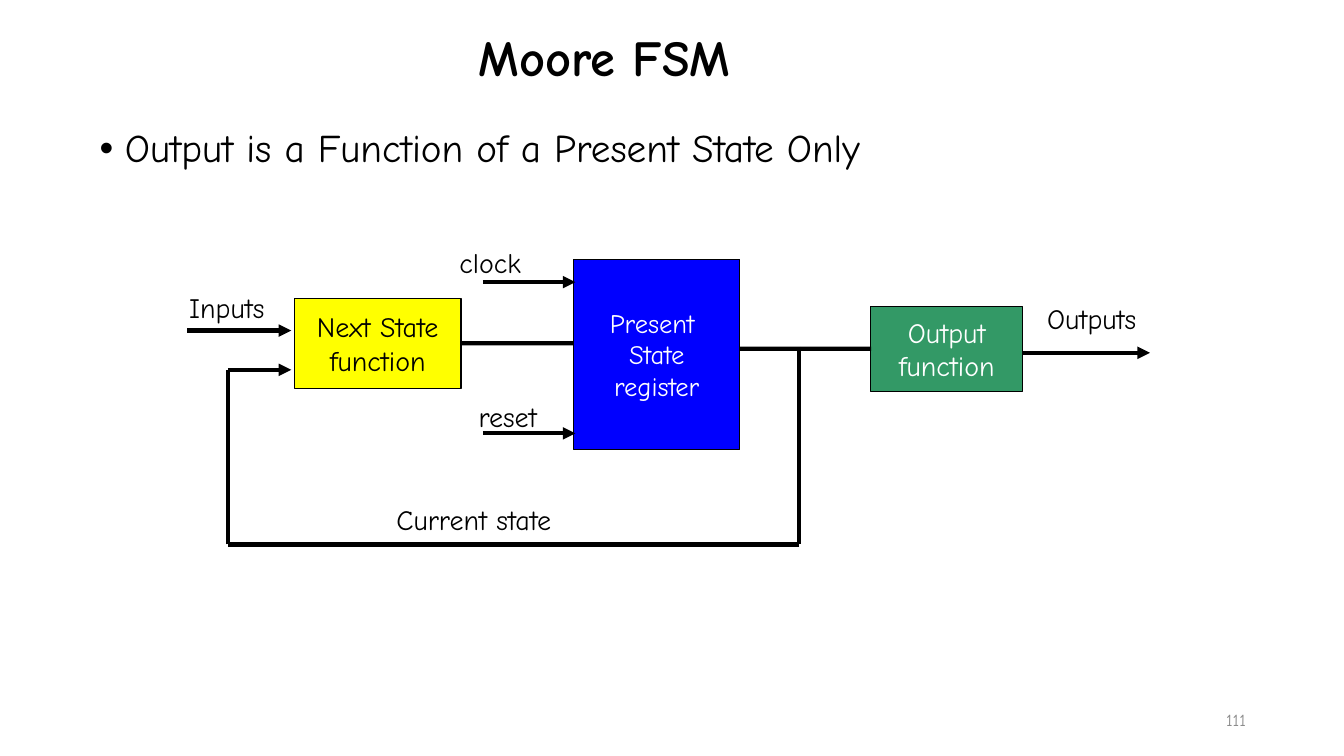
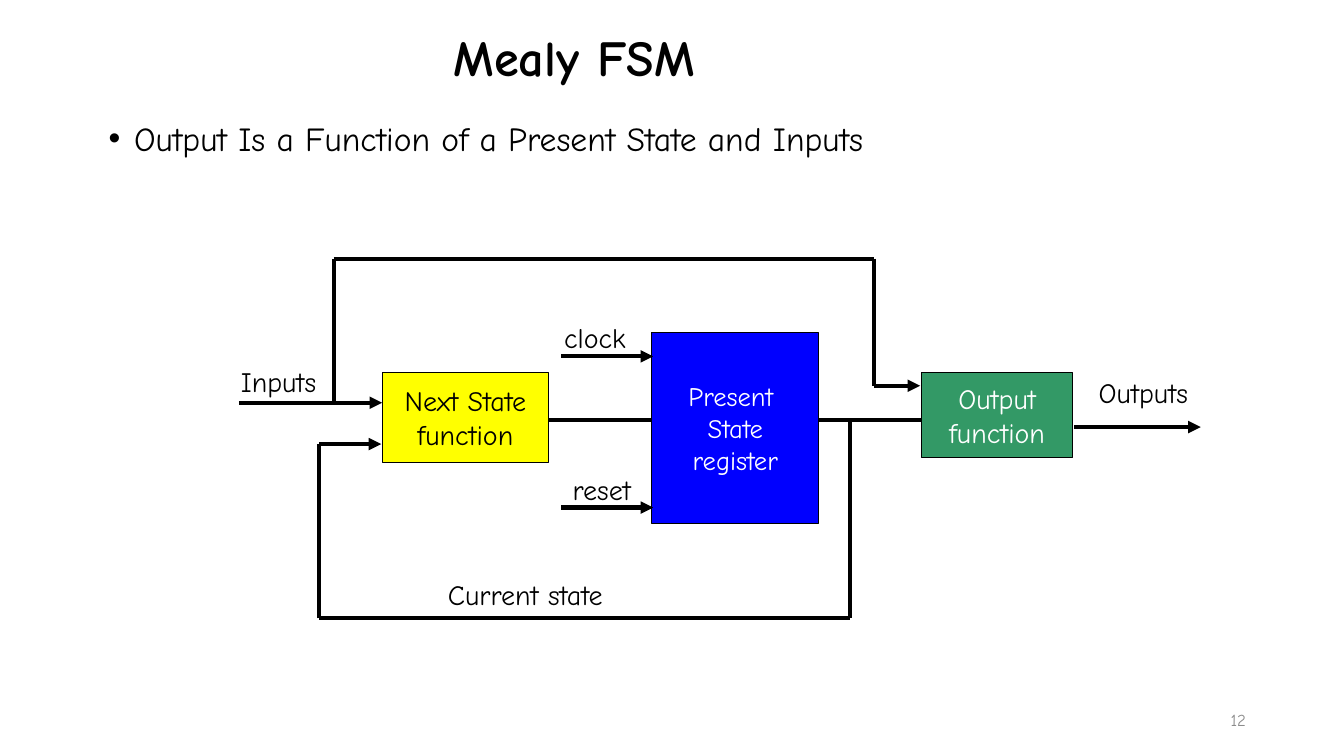
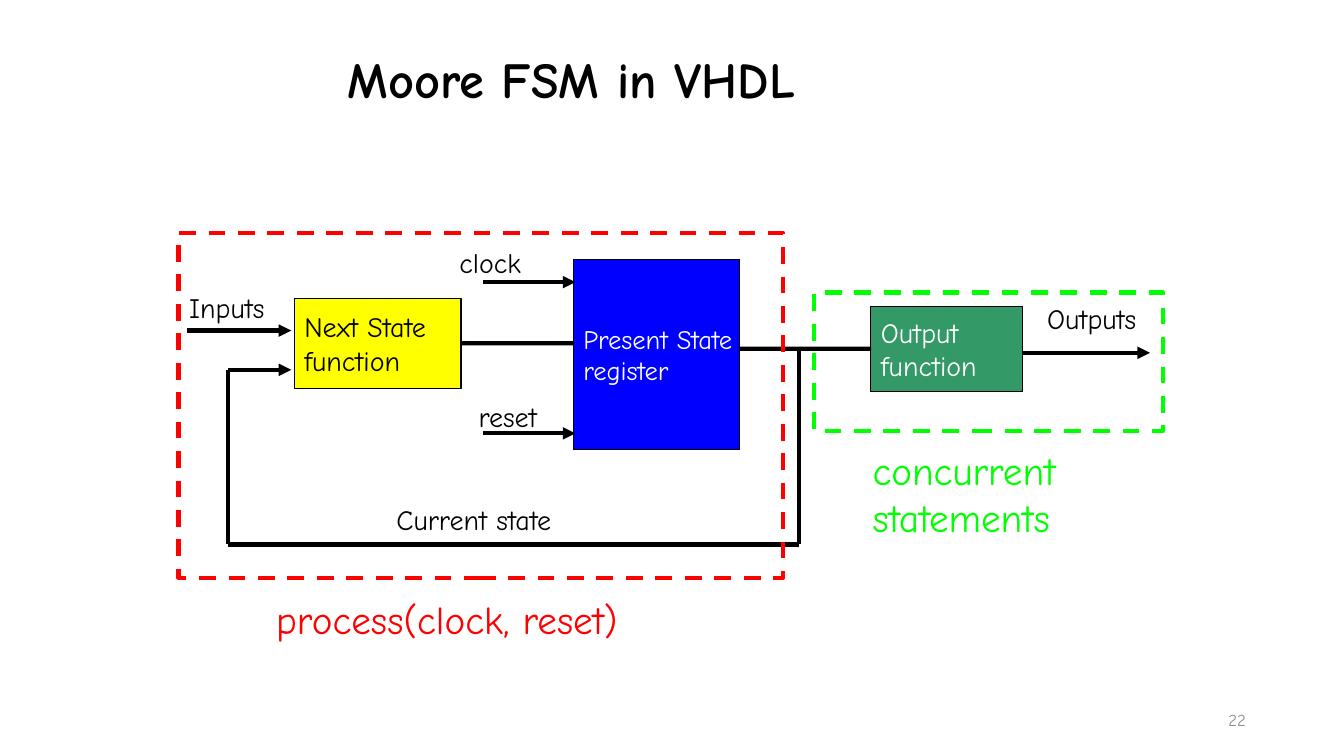
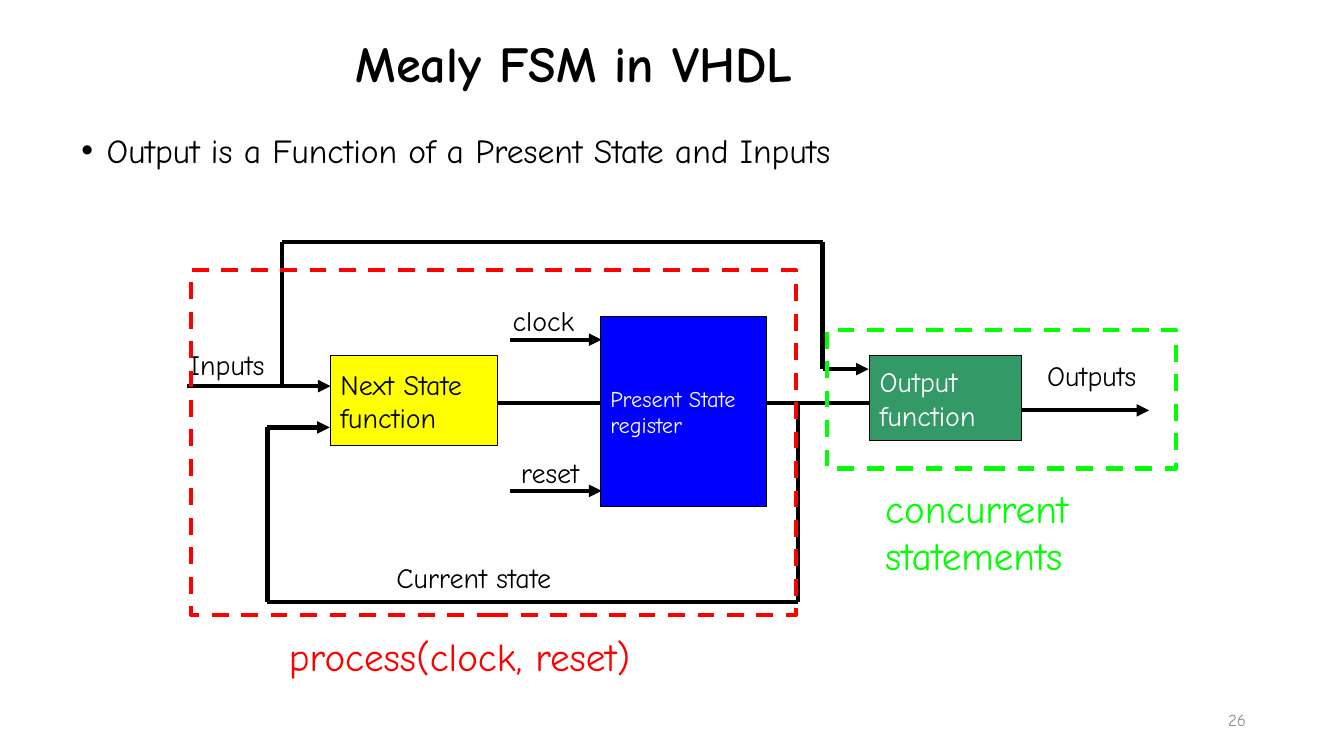
from itertools import pairwise

from lxml import etree
from pptx import Presentation
from pptx import util as u
from pptx.dml.color import RGBColor
from pptx.enum import dml, shapes, text
from pptx.oxml.ns import qn

BLACK = RGBColor(0x00, 0x00, 0x00)
WHITE = RGBColor(0xFF, 0xFF, 0xFF)
GRAY = RGBColor(0x8C, 0x8C, 0x8C)
YELLOW = RGBColor(0xFF, 0xFF, 0x00)
BLUE = RGBColor(0x00, 0x00, 0xFF)
TEAL = RGBColor(0x33, 0x99, 0x66)
RED = RGBColor(0xFF, 0x00, 0x00)
GREEN = RGBColor(0x00, 0xFF, 0x00)

FONT = "Comic Neue"
LEFT, CENTER, RIGHT = text.PP_ALIGN.LEFT, text.PP_ALIGN.CENTER, text.PP_ALIGN.RIGHT
MIDDLE = text.MSO_ANCHOR.MIDDLE

# All positions and sizes are in centimetres.
BLOCKS = {  # size, fill, text colour
    "next": ((4.2, 2.26), YELLOW, BLACK),
    "present": ((4.2, 4.8), BLUE, WHITE),
    "output": ((3.82, 2.14), TEAL, WHITE),
}
LABEL_WIDTHS = {"Inputs": 2.72, "Outputs": 3.23, "clock": 2.18, "reset": 2.31,
                "Current state": 5.08}
LABEL_HEIGHT = 1.12

MOORE = {
    "blocks": {"next": (7.42, 7.52), "present": (14.45, 6.53), "output": (21.95, 7.72)},
    "labels": {"Inputs": (4.52, 7.19), "Outputs": (26.14, 7.47), "clock": (11.33, 6.07),
               "reset": (11.81, 9.93), "Current state": (9.4, 12.55)},
    "arrows": [
        [(4.72, 8.33), (7.34, 8.33)],
        [(25.78, 8.89), (28.98, 8.89)],
        [(12.17, 7.11), (14.5, 7.11)],
        [(12.17, 10.92), (14.5, 10.92)],
        [(20.14, 8.74), (20.14, 13.72), (5.74, 13.72), (5.74, 9.32), (7.34, 9.32)],
    ],
    "wires": [
        [(11.62, 8.65), (14.45, 8.65)],
        [(18.65, 8.79), (21.95, 8.79)],
    ],
}
MEALY = {
    "blocks": {"next": (8.33, 8.97), "present": (15.13, 7.97), "output": (21.92, 8.97)},
    "labels": {"Inputs": (4.52, 8.64), "Outputs": (26.14, 8.92), "clock": (12.67, 7.52),
               "reset": (12.88, 11.35), "Current state": (9.4, 14.0)},
    "arrows": [
        [(4.72, 9.73), (8.33, 9.73)],
        [(25.76, 10.34), (28.96, 10.34)],
        [(12.85, 8.56), (15.16, 8.56)],
        [(12.85, 12.37), (15.16, 12.37)],
        [(20.12, 10.16), (20.12, 15.16), (6.74, 15.16), (6.74, 10.77), (8.31, 10.77)],
        [(7.11, 9.73), (7.11, 6.1), (20.73, 6.1), (20.73, 9.3), (21.89, 9.3)],
    ],
    "wires": [
        [(12.53, 10.16), (15.13, 10.16)],
        [(19.33, 10.16), (21.92, 10.16)],
    ],
}
REGIONS = [  # colour, dashed frame, caption box, caption lines
    (RED, (4.5, 5.87, 15.24, 8.69), (6.71, 14.88, 10.29, 1.45), ["process(clock, reset)"]),
    (GREEN, (20.52, 7.37, 8.79, 3.5), (21.74, 11.13, 5.89, 2.64),
     ["concurrent", "statements"]),
]
THREE_LINES = ["Present ", "State", "register"]
TWO_LINES = ["Present State", "register"]

SLIDES = [
    dict(title="Moore FSM", title_at=(11.81, 0.51), number="111",
         bullet=("Output is a Function of a Present State Only", (2.26, 3.12), 28, 0.9),
         diagram=MOORE, shift=(0, 0), align=CENTER, present=(THREE_LINES, 19)),
    dict(title="Mealy FSM", title_at=(11.18, 0.51), number="12",
         bullet=("Output Is a Function of a Present State and Inputs", (2.49, 3.05), 24, 0.8),
         diagram=MEALY, shift=(1.3, 0.42), align=CENTER, present=(THREE_LINES, 19)),
    dict(title="Moore FSM in VHDL", title_at=(8.51, 1.07), number="22",
         diagram=MOORE, shift=(0, 0), align=LEFT, present=(TWO_LINES, 19),
         regions_shift=(0, 0)),
    dict(title="Mealy FSM in VHDL", title_at=(8.71, 0.66), number="26",
         bullet=("Output is a Function of a Present State and Inputs", (1.8, 3.35), 24, 0.8),
         diagram=MEALY, shift=(0, 0), align=LEFT, present=(TWO_LINES, 16),
         regions_shift=(0.32, 0.94)),
]


def lengths(*values):
    return [u.Cm(value) for value in values]


def moved(position, shift):
    """Add the shift to the first two numbers of a position or box."""
    return (position[0] + shift[0], position[1] + shift[1], *position[2:])


def write(shape, lines, size, color=BLACK, align=LEFT, bold=False, wrap=False, anchor=None):
    frame = shape.text_frame
    frame.word_wrap = wrap
    if anchor is not None:
        frame.vertical_anchor = anchor
    for index, line in enumerate(lines):
        para = frame.paragraphs[0] if index == 0 else frame.add_paragraph()
        para.alignment = align
        span = para.add_run()
        span.text = line
        span.font.name, span.font.size, span.font.bold = FONT, u.Pt(size), bold
        span.font.color.rgb = color
    return frame.paragraphs[0]


def add_text(page, box, lines, size, **style):
    return write(page.shapes.add_textbox(*lengths(*box)), lines, size, **style)


def add_rectangle(page, box, line_color, line_width, fill=None):
    shape = page.shapes.add_shape(shapes.MSO_SHAPE.RECTANGLE, *lengths(*box))
    shape.shadow.inherit = False
    if fill is None:
        shape.fill.background()
    else:
        shape.fill.solid()
        shape.fill.fore_color.rgb = fill
    shape.line.color.rgb = line_color
    shape.line.width = u.Pt(line_width)
    return shape


def add_bullet(page, line, position, size, spacing):
    para = add_text(page, (*position, 23.29, 1.47), [line], size, wrap=True)
    para.line_spacing = spacing
    para.space_before = u.Pt(10)
    properties = para._p.get_or_add_pPr()
    indent = u.Cm(0.64)
    properties.set("marL", str(indent))
    properties.set("indent", str(-indent))
    etree.SubElement(properties, qn("a:buFont")).set("typeface", "Arial")
    etree.SubElement(properties, qn("a:buChar")).set("char", "•")


def side_at(point, blocks):
    """Find the block and side number whose middle lies at the point."""
    for block in blocks:
        left, top, width, height = (
            value.cm for value in (block.left, block.top, block.width, block.height))
        middles = [(left + width / 2, top), (left, top + height / 2),
                   (left + width / 2, top + height), (left + width, top + height / 2)]
        for side, (x, y) in enumerate(middles):
            if abs(point[0] - x) < 0.02 and abs(point[1] - y) < 0.02:
                return block, side
    return None


def add_segment(page, start, end, blocks, arrow):
    line = page.shapes.add_connector(shapes.MSO_CONNECTOR.STRAIGHT, *lengths(*start, *end))
    line.line.color.rgb = BLACK
    line.line.width = u.Pt(3)
    if arrow:
        etree.SubElement(line.line._get_or_add_ln(), qn("a:tailEnd")).set("type", "triangle")
    etree.SubElement(line._element.spPr, qn("a:effectLst"))
    for point, connect in ((start, line.begin_connect), (end, line.end_connect)):
        joint = side_at(point, blocks)
        if joint:
            connect(*joint)


def add_diagram(page, diagram, shift, align, present):
    contents = {"next": (["Next State", "function"], 20), "present": present,
                "output": (["Output", "function"], 20)}
    blocks = []
    for name, position in diagram["blocks"].items():
        size, fill, color = BLOCKS[name]
        block = add_rectangle(page, moved((*position, *size), shift), BLACK, 0.75, fill)
        write(block, *contents[name], color=color, align=align, anchor=MIDDLE)
        blocks.append(block)
    for label, position in diagram["labels"].items():
        box = moved((*position, LABEL_WIDTHS[label], LABEL_HEIGHT), shift)
        add_text(page, box, [label], 20, align=CENTER if label == "Current state" else LEFT)
    for kind in ("arrows", "wires"):
        for route in diagram[kind]:
            points = [moved(point, shift) for point in route]
            for start, end in pairwise(points):
                add_segment(page, start, end, blocks, kind == "arrows" and end == points[-1])


def add_regions(page, shift):
    for color, frame, caption, lines in REGIONS:
        border = add_rectangle(page, moved(frame, shift), color, 3)
        border.line.dash_style = dml.MSO_LINE.DASH
        add_text(page, moved(caption, shift), lines, 28, color=color)


def add_page(deck, content):
    page = deck.slides.add_slide(deck.slide_layouts[6])
    heading = add_text(page, (*content["title_at"], 20, 2), [content["title"]], 36,
                       bold=True, wrap=True, anchor=MIDDLE)
    heading.line_spacing = 0.9
    if "bullet" in content:
        add_bullet(page, *content["bullet"])
    add_diagram(page, content["diagram"], content["shift"], content["align"],
                content["present"])
    if "regions_shift" in content:
        add_regions(page, content["regions_shift"])
    add_text(page, (24.03, 17.63, 7.62, 1.02), [content["number"]], 12, color=GRAY,
             align=RIGHT, wrap=True, anchor=MIDDLE)


def main():
    deck = Presentation()
    deck.slide_width, deck.slide_height = lengths(33.87, 19.05)
    for content in SLIDES:
        add_page(deck, content)
    deck.save("out.pptx")


if __name__ == "__main__":
    main()
